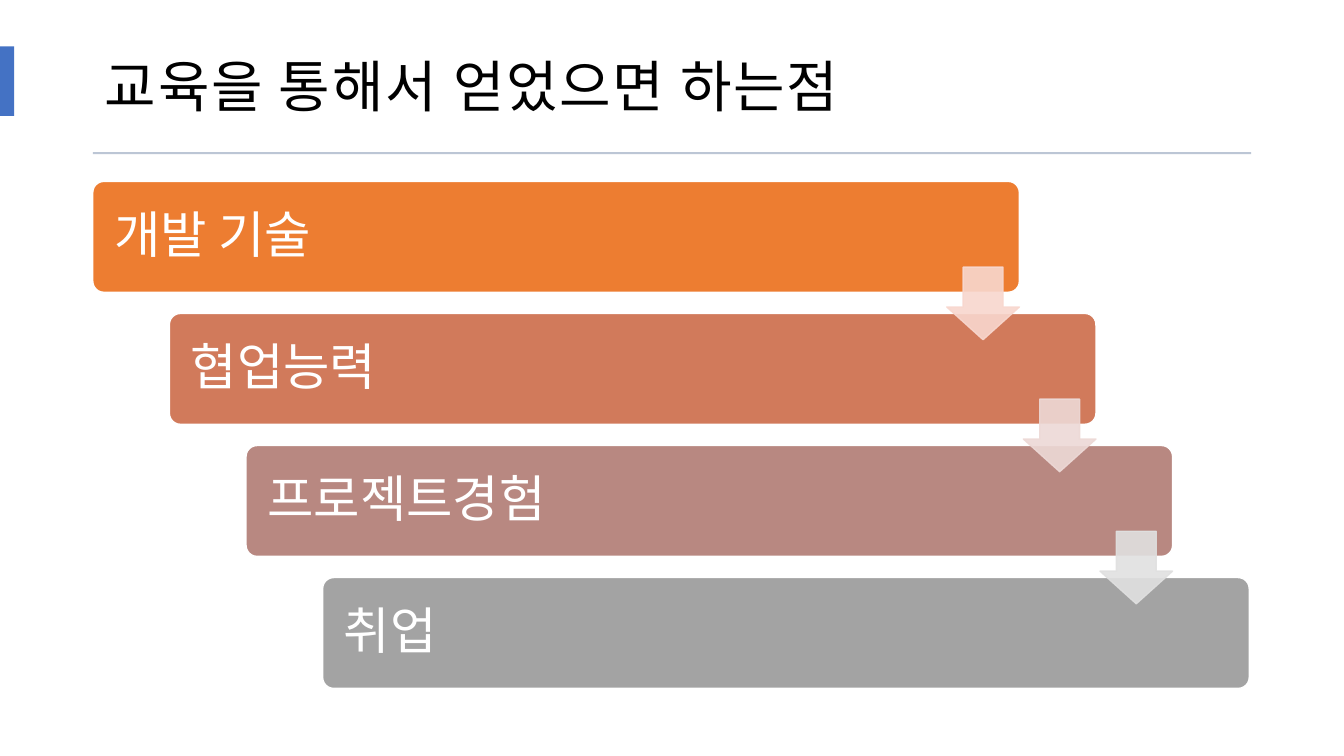
import pptx
import pptx.dml.color
import pptx.enum.shapes
import pptx.enum.text
import pptx.oxml
import pptx.oxml.ns
import pptx.util

Inches = pptx.util.Inches
Pt = pptx.util.Pt
RGBColor = pptx.dml.color.RGBColor
Shape = pptx.enum.shapes.MSO_SHAPE

WHITE = RGBColor(0xFF, 0xFF, 0xFF)
BLACK = RGBColor(0x00, 0x00, 0x00)
BLUE = RGBColor(0x44, 0x72, 0xC4)
RULE_GRAY = RGBColor(0xBC, 0xC6, 0xD5)
ORANGE = RGBColor(0xED, 0x7D, 0x31)
TERRACOTTA = RGBColor(0xD1, 0x7A, 0x5B)
DUSTY_ROSE = RGBColor(0xB8, 0x88, 0x81)
GRAY = RGBColor(0xA3, 0xA3, 0xA3)
PALE_ORANGE = RGBColor(0xF8, 0xD7, 0xCE)
PALE_ROSE = RGBColor(0xED, 0xD9, 0xD6)
PALE_GRAY = RGBColor(0xE0, 0xE0, 0xE0)

MARGIN, CONTENT_WIDTH = 0.92, 11.49
BAR_TOP, BAR_WIDTH, BAR_HEIGHT = 1.8, 9.19, 1.1
STEP_X, STEP_Y = 0.76, 1.31
ARROW_SIZE, ARROW_DROP = 0.72, 0.85

# Goal, bar colour, colour of the arrow to the next goal
GOALS = [
    ("개발 기술", ORANGE, PALE_ORANGE),
    ("협업능력", TERRACOTTA, PALE_ROSE),
    ("프로젝트경험", DUSTY_ROSE, PALE_GRAY),
    ("취업", GRAY, None),
]


class SlideBuilder:
    font = "Lato"

    def __init__(self, slide):
        self.slide = slide

    def add_text(self, shape, text, size, color, insets, line_spacing):
        frame = shape.text_frame
        frame.word_wrap = True
        frame.auto_size = pptx.enum.text.MSO_AUTO_SIZE.NONE
        frame.vertical_anchor = pptx.enum.text.MSO_ANCHOR.MIDDLE
        (frame.margin_left, frame.margin_top,
         frame.margin_right, frame.margin_bottom) = map(Inches, insets)
        paragraph = frame.paragraphs[0]
        paragraph.alignment = pptx.enum.text.PP_ALIGN.LEFT
        paragraph.line_spacing = line_spacing
        run = paragraph.add_run()
        run.text = text
        run.font.name = self.font
        run.font.size = Pt(size)
        run.font.color.rgb = color
        return run

    def title(self, text):
        title = self.slide.shapes.title
        title.left, title.top = Inches(MARGIN), Inches(0.27)
        title.width, title.height = Inches(CONTENT_WIDTH), Inches(1.1)
        run = self.add_text(title, text, 40, BLACK,
                            (0.12, 0.12, 0.12, 0.1), 1.05)
        run.font._element.set("spc", "130")

    def block(self, kind, left, top, width, height, fill, line=None):
        shape = self.slide.shapes.add_shape(
            kind, Inches(left), Inches(top), Inches(width), Inches(height))
        shape.shadow.inherit = False
        shape.fill.solid()
        shape.fill.fore_color.rgb = fill
        if line is None:
            shape.line.fill.background()
        else:
            shape.line.color.rgb = line
            shape.line.width = Pt(1)
        return shape

    def goal_bar(self, left, top, text, color):
        bar = self.block(Shape.ROUNDED_RECTANGLE, left, top,
                         BAR_WIDTH, BAR_HEIGHT, color, WHITE)
        bar.adjustments[0] = 0.1
        self.add_text(bar, text, 36, WHITE, (0.18, 0.15, 0.15, 0.15), 0.9)

    def arrow(self, left, top, color):
        """Add a down arrow whose fill and line are 90% opaque."""
        arrow = self.block(Shape.DOWN_ARROW, left, top,
                           ARROW_SIZE, ARROW_SIZE, color, color)
        # Shaft width, then head length
        arrow.adjustments[0], arrow.adjustments[1] = 0.55, 0.45
        for tint in arrow._element.spPr.iter(pptx.oxml.ns.qn("a:srgbClr")):
            tint.append(pptx.oxml.parse_xml(
                f'<a:alpha {pptx.oxml.ns.nsdecls("a")} val="90000"/>'))


def main():
    presentation = pptx.Presentation()
    presentation.slide_width = Inches(13.33)
    presentation.slide_height = Inches(7.5)
    slide = presentation.slides.add_slide(presentation.slide_layouts[5])
    builder = SlideBuilder(slide)

    builder.title("교육을 통해서 얻었으면 하는점")
    builder.block(Shape.RECTANGLE, 0, 0.46, 0.14, 0.69, BLUE)
    builder.block(Shape.RECTANGLE, MARGIN, 1.51, CONTENT_WIDTH, 0.02, RULE_GRAY)

    corners = [(MARGIN + i * STEP_X, BAR_TOP + i * STEP_Y)
               for i in range(len(GOALS))]
    for (left, top), (text, color, _) in zip(corners, GOALS):
        builder.goal_bar(left, top, text, color)
    for (left, top), (_, _, arrow_color) in zip(corners, GOALS):
        if arrow_color is not None:
            builder.arrow(left + BAR_WIDTH - ARROW_SIZE, top + ARROW_DROP,
                          arrow_color)

    presentation.save("out.pptx")


if __name__ == "__main__":
    main()
